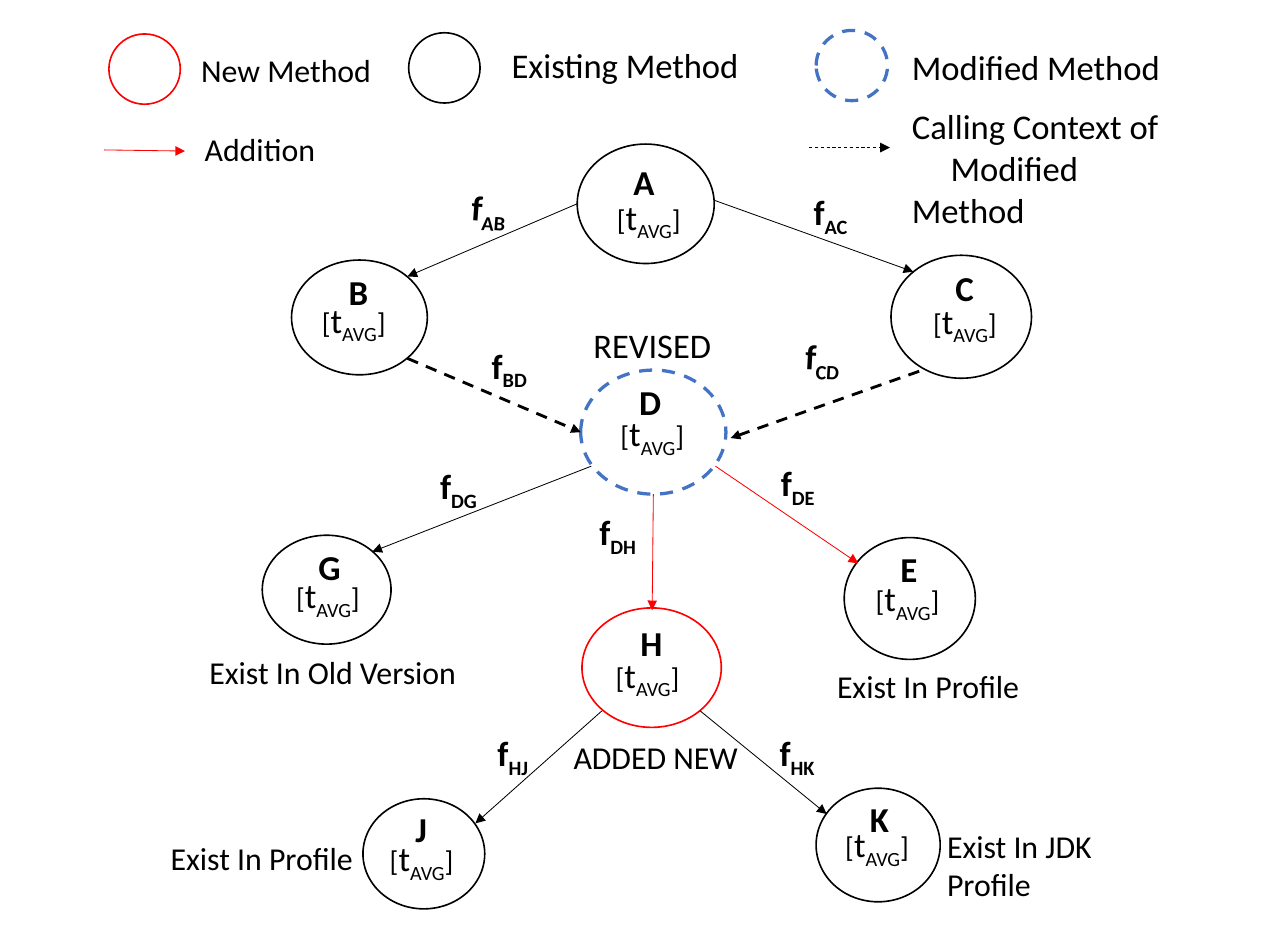
from lxml.etree import SubElement
from pptx import Presentation
from pptx.dml.color import RGBColor
from pptx.enum.dml import MSO_LINE
from pptx.enum.shapes import MSO_CONNECTOR, MSO_SHAPE
from pptx.enum.text import MSO_AUTO_SIZE
from pptx.oxml.ns import qn
from pptx.util import Inches, Pt

BLACK = RGBColor(0, 0, 0)
RED = RGBColor(255, 0, 0)
BLUE = RGBColor(0x44, 0x72, 0xC4)
FONT = "Calibri"
LARGE, MEDIUM, SMALL, BRACKET = 21.5, 21.3, 19.6, 17.6

EXISTING = dict(color=BLACK, weight=1)
NEW = dict(color=RED, weight=1)
MODIFIED = dict(color=BLUE, weight=2, dashed=True)

CALL = dict(color=BLACK, weight=0.5)
ADDITION = dict(color=RED, weight=0.5)
CONTEXT = dict(color=BLACK, weight=1.75, dashed=True)
CONTEXT_KEY = dict(color=BLACK, weight=0.5, dashed=True)

METHODS = [
    ("A", (4.93, 1.23, 1.17, 1.02), (5.31, 1.32), (5.17, 1.62), EXISTING),
    ("B", (2.49, 2.22, 1.16, 0.98), (2.88, 2.26), (2.65, 2.5), EXISTING),
    ("C", (7.61, 2.18, 1.2, 1.05), (8.06, 2.23), (7.87, 2.51), EXISTING),
    ("D", (4.96, 3.16, 1.24, 1.06), (5.36, 3.2), (5.2, 3.47), MODIFIED),
    ("E", (7.21, 4.59, 1.12, 1.04), (7.59, 4.63), (7.38, 4.88), EXISTING),
    ("G", (2.24, 4.57, 1.1, 0.93), (2.62, 4.61), (2.43, 4.85), EXISTING),
    ("H", (4.97, 5.19, 1.19, 1.02), (5.37, 5.26), (5.16, 5.53), NEW),
    ("J", (3.1, 6.82, 1.04, 0.94), (3.45, 6.85), (3.23, 7.1), EXISTING),
    ("K", (6.97, 6.73, 1.06, 0.97), (7.33, 6.76), (7.12, 6.98), EXISTING),
]

CALLS = [
    ("AB", (4.93, 1.74), (3.48, 2.36), (3.93, 1.55), 4.2, CALL),
    ("AC", (6.1, 1.71), (7.8, 2.32), (6.85, 1.58), 0, CALL),
    ("BD", (3.48, 3.06), (4.96, 3.69), (4.1, 2.89), 0, CONTEXT),
    ("CD", (7.85, 3.17), (6.24, 3.74), (6.78, 2.82), 3.1, CONTEXT),
    ("DG", (5.05, 3.98), (3.18, 4.71), (3.66, 3.92), 0, CALL),
    ("DH", (5.58, 4.22), (5.57, 5.21), (5.02, 4.31), 0, ADDITION),
    ("DE", (6.11, 3.98), (7.33, 4.81), (6.57, 3.89), 0, ADDITION),
    ("HJ", (5.14, 6.07), (4.06, 7.03), (4.15, 6.2), 0, CALL),
    ("HK", (5.98, 6.07), (7.06, 6.95), (6.56, 6.2), 0, CALL),
]

NOTES = [
    ("REVISED", (4.97, 2.72, 1.32, 0.46), 21.2),
    ("ADDED NEW", (4.8, 6.25, 2.05, 0.43), SMALL),
    ("Exist In Profile", (7.05, 5.64, 2.81, 0.43), SMALL),
    ("Exist In Old Version", (1.69, 5.52, 2.39, 0.43), SMALL),
    ("Exist In JDK Profile", (7.99, 7.01, 2.1, 0.76), SMALL),
    ("Exist In Profile", (1.36, 7.11, 1.87, 0.43), SMALL),
    ("New Method", (1.62, 0.38, 1.83, 0.43), SMALL),
    ("Existing Method", (4.27, 0.33, 2.82, 0.46), MEDIUM),
    ("Modified Method", (7.69, 0.34, 2.82, 0.46), MEDIUM),
    ("Addition", (1.65, 1.06, 1.83, 0.43), SMALL),
]

KEY_CIRCLES = [((0.93, 0.29), NEW), ((3.49, 0.28), EXISTING), ((6.97, 0.26), MODIFIED)]
KEY_ARROWS = [
    ((0.89, 1.28), (1.58, 1.29), ADDITION),
    ((6.91, 1.26), (7.6, 1.26), CONTEXT_KEY),
]


def inches(values):
    return [Inches(value) for value in values]


def style_line(line, color, weight, dashed=False):
    line.color.rgb = color
    line.width = Pt(weight)
    if dashed:
        line.dash_style = MSO_LINE.DASH


def add_circle(page, place, style):
    circle = page.shapes.add_shape(MSO_SHAPE.OVAL, *inches(place))
    circle.shadow.inherit = False
    circle.fill.background()
    style_line(circle.line, **style)


def add_arrow(page, start, end, style):
    arrow = page.shapes.add_connector(MSO_CONNECTOR.STRAIGHT, *inches(start + end))
    style_line(arrow.line, **style)
    SubElement(arrow.line._get_or_add_ln(), qn("a:tailEnd"), type="triangle")
    SubElement(arrow._element.spPr, qn("a:effectLst"))


def add_span(para, text, size, bold=False, subscript=False):
    span = para.add_run()
    span.text = text
    span.font.name = FONT
    span.font.size = Pt(size)
    span.font.bold = bold
    span.font.color.rgb = BLACK
    if subscript:
        span.font._element.set("baseline", "-25000")


def add_text(page, place, *paragraphs, bold=False, rotation=0, indent=0):
    box = page.shapes.add_textbox(*inches(place))
    box.rotation = rotation
    frame = box.text_frame
    frame.word_wrap = True
    frame.auto_size = MSO_AUTO_SIZE.SHAPE_TO_FIT_TEXT
    for index, spans in enumerate(paragraphs):
        para = frame.add_paragraph() if index else frame.paragraphs[0]
        for text, size, *subscript in spans:
            add_span(para, text, size, bold, bool(subscript))
    if indent:
        para._p.get_or_add_pPr().set("indent", str(Inches(indent)))


def add_method(page, name, place, name_at, time_at, style):
    add_circle(page, place, style)
    add_text(page, name_at + (0.35, 0.46), [(name, LARGE)], bold=True)
    time = [("[", BRACKET), ("t", MEDIUM), ("AVG", MEDIUM, "sub"), ("]", BRACKET)]
    add_text(page, time_at + (0.81, 0.46), time)


def add_call(page, pair, start, end, label_at, rotation, style):
    add_arrow(page, start, end, style)
    label = [("f", LARGE), (pair, LARGE, "sub")]
    add_text(page, label_at + (0.58, 0.46), label, bold=True, rotation=rotation)


def add_key(page):
    for corner, style in KEY_CIRCLES:
        add_circle(page, corner + (0.61, 0.6), style)
    for start, end, style in KEY_ARROWS:
        add_arrow(page, start, end, style)
    add_text(page, (7.69, 0.85, 2.51, 0.82), [("Calling Context of", MEDIUM)],
             [("Modified Method", MEDIUM)], indent=0.33)


def main():
    deck = Presentation()
    deck.slide_width, deck.slide_height = Inches(11), Inches(8)
    page = deck.slides.add_slide(deck.slide_layouts[6])
    for method in METHODS:
        add_method(page, *method)
    for call in CALLS:
        add_call(page, *call)
    add_key(page)
    for text, place, size in NOTES:
        add_text(page, place, [(text, size)])
    deck.save("out.pptx")


main()
